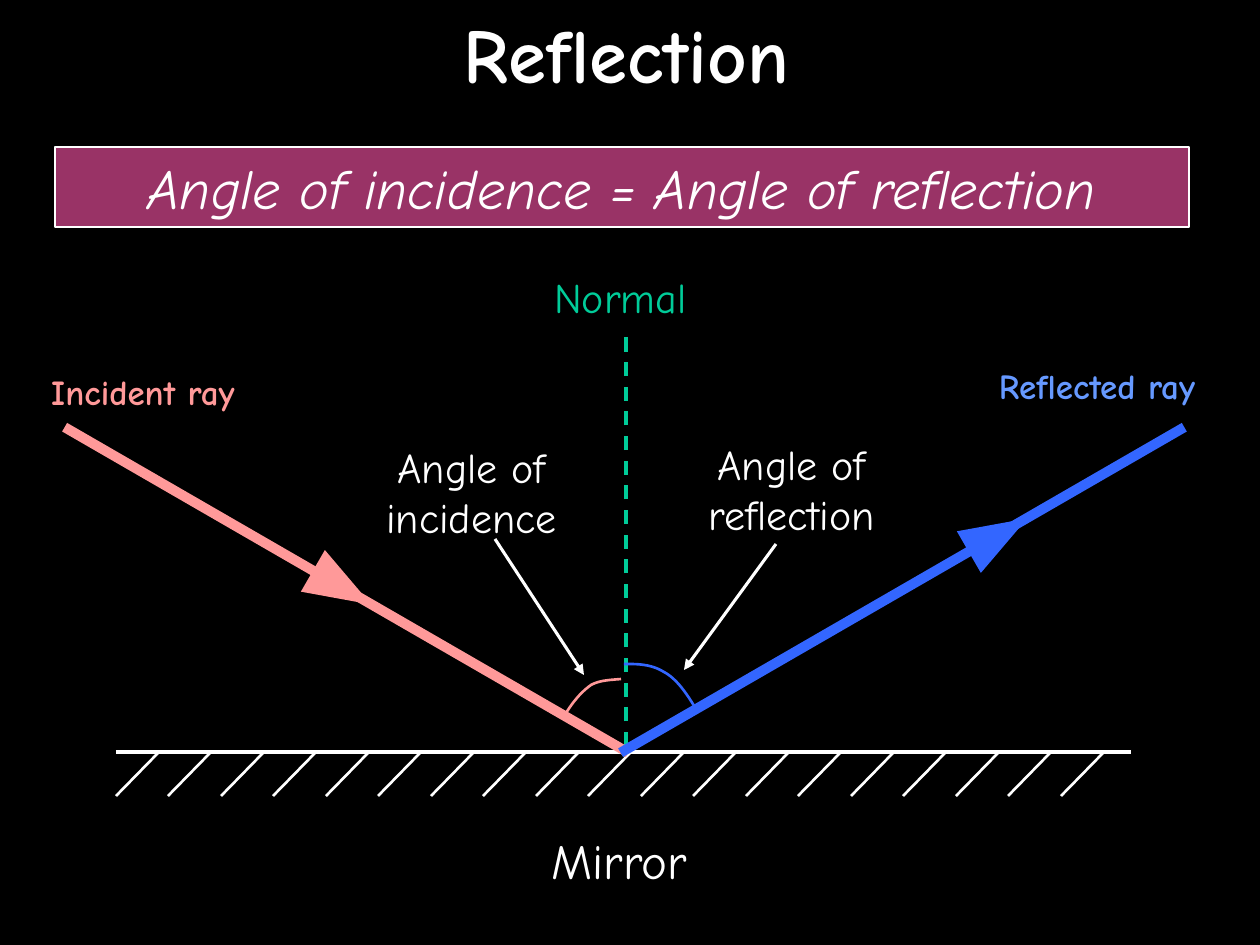
import pptx
import pptx.util
import pptx.dml.color
import pptx.enum.dml
import pptx.enum.shapes
import pptx.enum.text
from dataclasses import dataclass
from lxml import etree

SCALE = 914400 / 126  # EMU per px
A = "{http://schemas.openxmlformats.org/drawingml/2006/main}"
RECT = pptx.enum.shapes.MSO_SHAPE.RECTANGLE
ARROW = pptx.enum.shapes.MSO_SHAPE.RIGHT_ARROW


@dataclass
class Theme:
    font: str = "Comic Neue"
    back: str = "000000"
    white: str = "FFFFFF"
    pink: str = "FF9999"
    blue: str = "3366FF"
    sky: str = "6699FF"
    green: str = "00CC99"
    plum: str = "993366"
    title: int = 44
    law: int = 32
    mirror: int = 28
    label: int = 24
    ray: int = 20


theme = Theme()
rgb = pptx.dml.color.RGBColor.from_string
deck = pptx.Presentation()
deck.slide_width, deck.slide_height = [round(n * SCALE) for n in (1260, 945)]
slide = deck.slides.add_slide(deck.slide_layouts[6])
slide.background.fill.solid()
slide.background.fill.fore_color.rgb = rgb(theme.back)
shapes = slide.shapes


def write(text, box, size, color=theme.white, bold=False, italic=False,
          align="CENTER", anchor="TOP", fill=None):
    """Place text in a box; a fill turns the box into a framed panel."""
    place = [round(n * SCALE) for n in box]
    if fill:
        shape = shapes.add_shape(RECT, *place)
        shape.shadow.inherit = False
        shape.fill.solid()
        shape.fill.fore_color.rgb = rgb(fill)
        shape.line.color.rgb = rgb(theme.white)
        shape.line.width = pptx.util.Pt(0.75)
    else:
        shape = shapes.add_textbox(*place)
    frame = shape.text_frame
    frame.word_wrap = True
    frame.vertical_anchor = pptx.enum.text.MSO_ANCHOR[anchor]
    par = frame.paragraphs[0]
    par.alignment = pptx.enum.text.PP_ALIGN[align]
    run = par.add_run()
    run.text = text
    font = run.font
    font.name, font.size = theme.font, pptx.util.Pt(size)
    font.bold, font.italic = bold, italic
    font.color.rgb = rgb(color)


def draw(start, end, width, color=theme.white, dash=False, head=False):
    """Draw a straight line, with an arrowhead at its end if asked."""
    line = shapes.add_connector(
        pptx.enum.shapes.MSO_CONNECTOR.STRAIGHT,
        *[round(n * SCALE) for n in (*start, *end)])
    line.line.color.rgb = rgb(color)
    line.line.width = pptx.util.Pt(width)
    if dash:
        line.line.dash_style = pptx.enum.dml.MSO_LINE.DASH
    if head:
        tail = etree.SubElement(line.line._get_or_add_ln(), A + "tailEnd")
        tail.set("type", "triangle")
    etree.SubElement(line._element.spPr, A + "effectLst")


write("Reflection", (49, 0, 1155, 106), theme.title, bold=True, anchor="MIDDLE")
write("Incident ray", (9, 364, 268, 55), theme.ray, theme.pink, bold=True)

# Mirror with its hatching
draw((116, 752), (1131, 752), 2)
for i in range(19):
    x = 159 + i * 105 // 2
    draw((x, 752), (x - 43, 796), 1.5)
draw((626, 746), (626, 336), 2, theme.green, dash=True)

# Rays: a turned bar with an arrow lying on it
for color, turn, bar, tip in (
        (theme.pink, 30, (21, 585, 651, 10), (123, 514, 266, 48)),
        (theme.blue, 330, (577, 585, 651, 10), (779, 561, 266, 48))):
    for kind, box in ((RECT, bar), (ARROW, tip)):
        part = shapes.add_shape(kind, *[round(n * SCALE) for n in box])
        part.shadow.inherit = False
        part.rotation = turn
        part.fill.solid()
        part.fill.fore_color.rgb = rgb(color)
        part.line.fill.background()
        if kind == ARROW:
            part.adjustments[0] = 0.04
            part.adjustments[1] = 1.4

write("Normal", (542, 265, 291, 63), theme.label, theme.green, align="LEFT")
write("Reflected ray", (963, 358, 268, 55), theme.ray, theme.sky, bold=True)
write("Angle of incidence", (294, 435, 355, 113), theme.label)
write("Angle of reflection", (649, 432, 285, 113), theme.label)
draw((495, 539), (584, 675), 1.75, head=True)
draw((776, 544), (684, 670), 1.75, head=True)

# Angle marks: each is two cubic curves, traced in short steps
STEPS = 12
for color, knots in (
        (theme.pink, ((566, 713), (573, 702), (581, 692), (591, 685),
                      (600, 680), (611, 680), (621, 679))),
        (theme.blue, ((696, 709), (687, 694), (677, 679), (664, 672),
                      (651, 664), (638, 664), (624, 664)))):
    trace = []
    for first in (0, 3):
        for step in range(1, STEPS + 1):
            t = step / STEPS
            u = 1 - t
            mix = (u**3, 3 * u * u * t, 3 * u * t * t, t**3)
            trace.append([sum(m * k[axis] for m, k in zip(mix, knots[first:first + 4])) * SCALE
                          for axis in (0, 1)])
    pen = shapes.build_freeform(*[round(n * SCALE) for n in knots[0]])
    pen.add_line_segments(trace, close=False)
    arc = pen.convert_to_shape()
    arc.shadow.inherit = False
    arc.fill.background()
    arc.line.color.rgb = rgb(color)
    arc.line.width = pptx.util.Pt(1.5)

write("Mirror", (421, 824, 397, 72), theme.mirror)
write("Angle of incidence = Angle of reflection", (55, 147, 1134, 80),
      theme.law, italic=True, fill=theme.plum)

deck.save("out.pptx")
